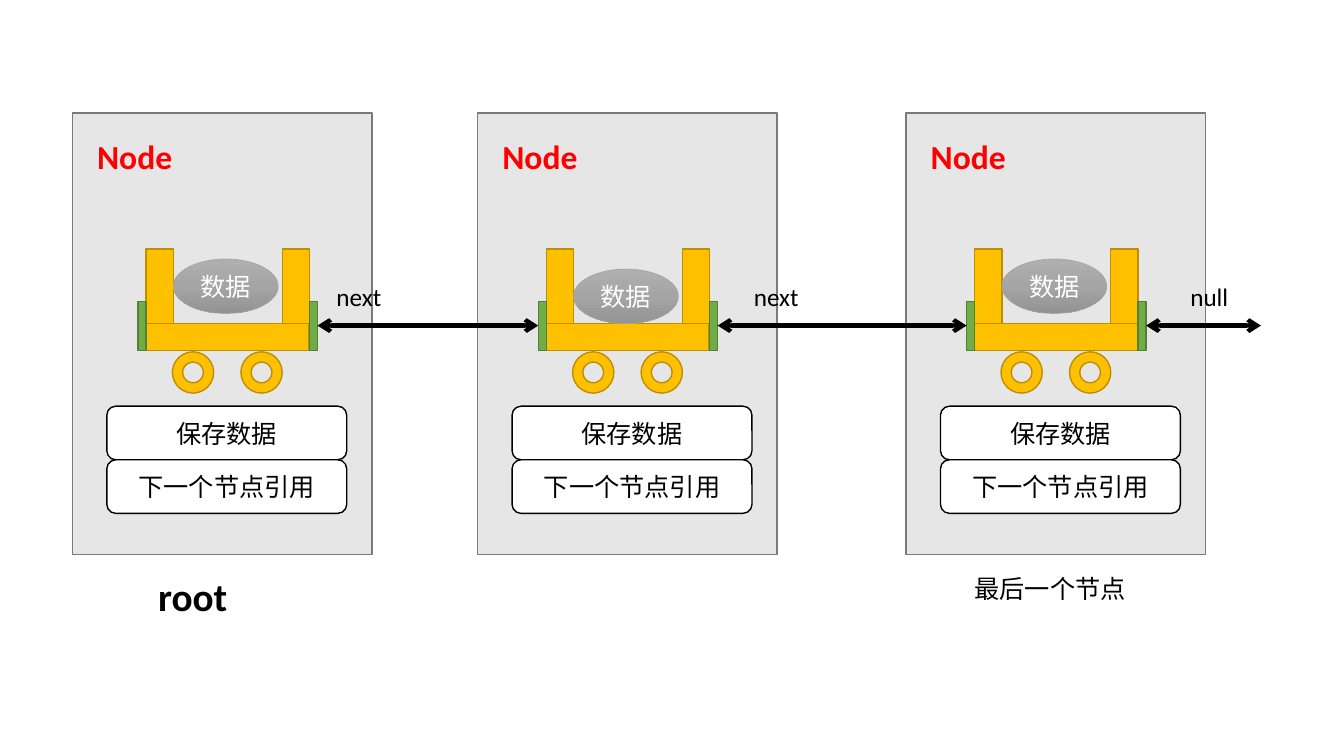
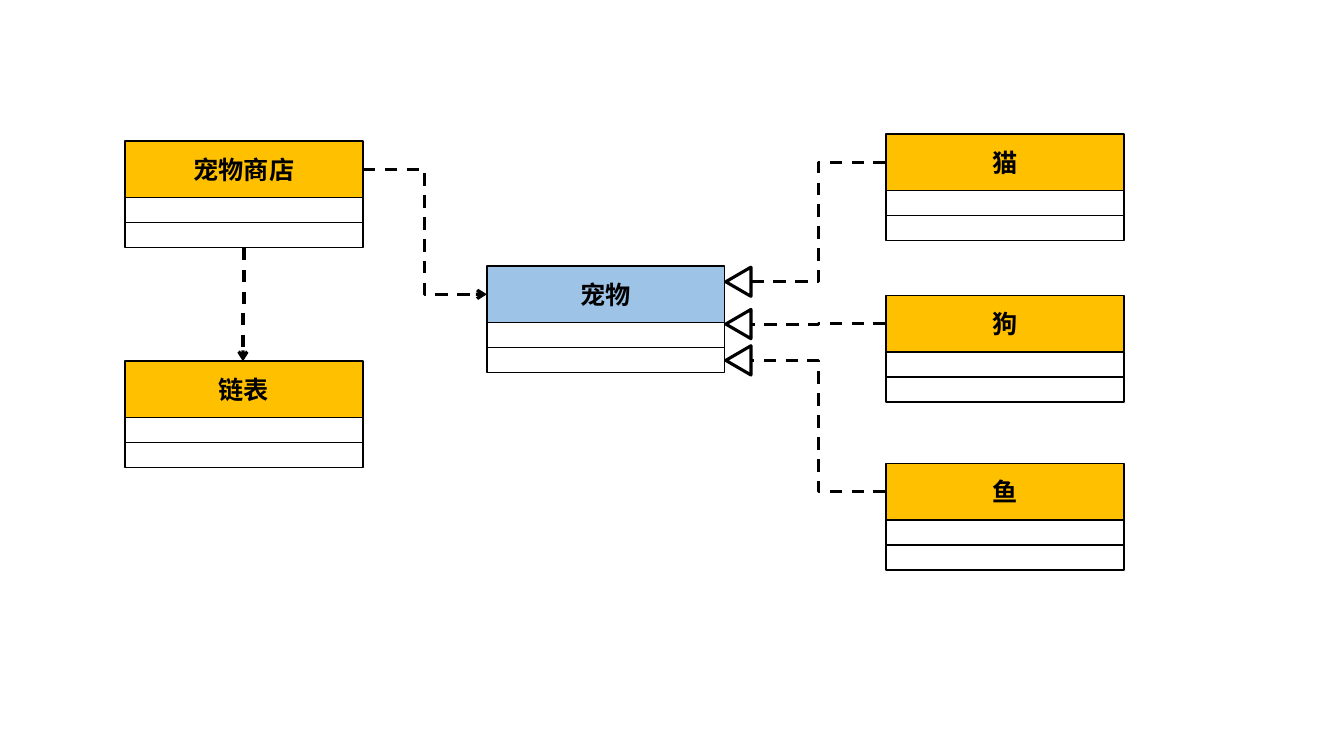
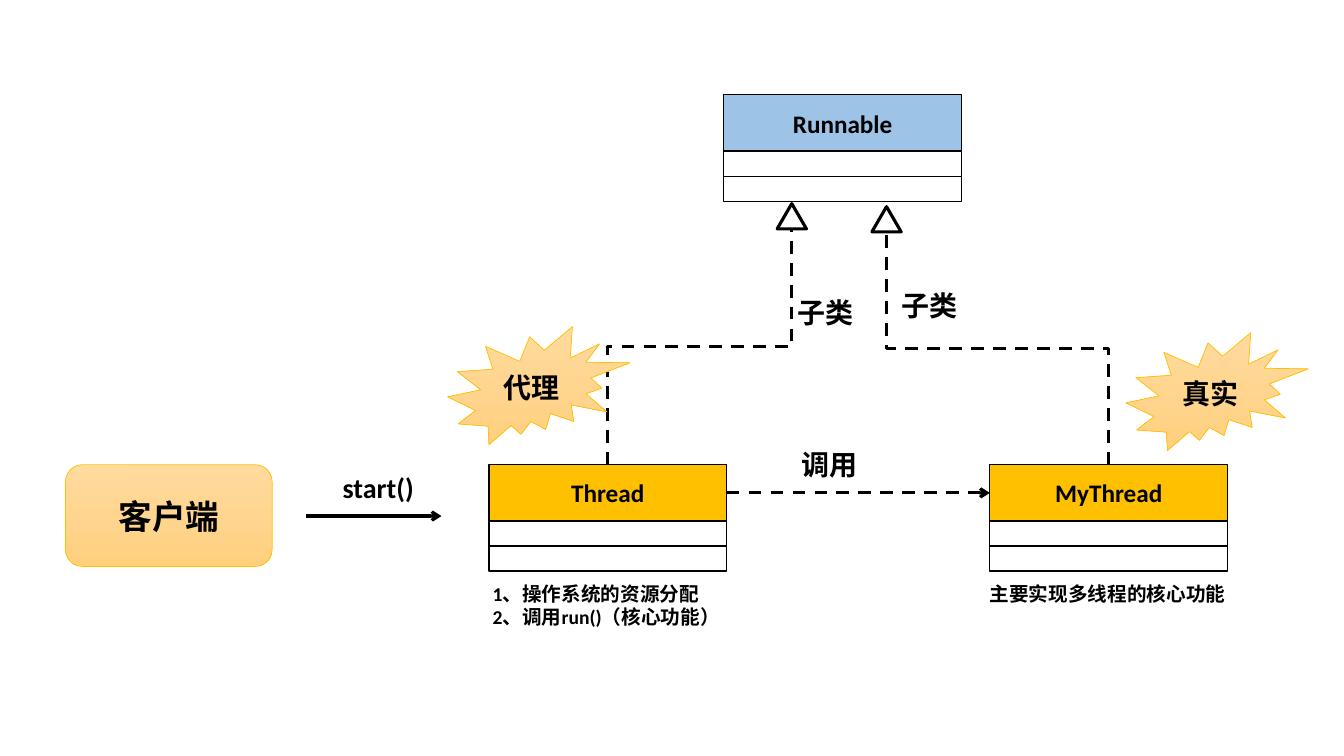
from copy import deepcopy
from lxml.etree import SubElement
from pptx import Presentation
from pptx.dml.color import RGBColor
from pptx.enum.dml import MSO_LINE
from pptx.enum.shapes import MSO_CONNECTOR, MSO_SHAPE
from pptx.enum.text import MSO_ANCHOR, MSO_AUTO_SIZE, PP_ALIGN
from pptx.oxml.ns import qn
from pptx.util import Inches, Pt

HUES = {
    "black": "000000", "white": "FFFFFF", "red": "FF0000",
    "panel": "E7E6E6", "edge": "7A7A7A",
    "gold": "FFC000", "bronze": "BD8E00",
    "green": "70AD47", "moss": "538035",
    "blue": "9DC3E6", "gray": "A5A5A5",
}
FADES = {
    "steel": ("AFAFAF", "A5A5A5", "939393"),
    "sand": ("FFDB9E", "FFD590", "FFD07C"),
}
COLS, ROWS = 160, 90
WIDE, HEAD, ROW = 28.32, 6.72, 2.98
TIP, RISE = 3.48, 3


class Deck:
    """Draws styled elements on a grid of 160 columns by 90 rows."""

    def __init__(self):
        self.show = Presentation()
        self.show.slide_width = Inches(13.333)
        self.show.slide_height = Inches(7.5)
        self.font = "Calibri"

    def page(self):
        """Start a new blank slide."""
        self.slide = self.show.slides.add_slide(self.show.slide_layouts[6])

    def grid(self, *spots):
        """Turn alternating columns and rows into slide lengths."""
        units = (self.show.slide_width / COLS, self.show.slide_height / ROWS)
        return [round(spot * units[i % 2]) for i, spot in enumerate(spots)]

    def label(self, frame, lines, size, hue, bold, align):
        """Fill a text frame with one run per paragraph."""
        for i, line in enumerate(lines):
            para = frame.add_paragraph() if i else frame.paragraphs[0]
            para.alignment = align
            run = para.add_run()
            run.text = line
            run.font.name = self.font
            run.font.size = Pt(size)
            run.font.bold = bold
            run.font.color.rgb = RGBColor.from_string(HUES[hue])

    def shape(self, kind, at, fill, edge="black", width=1, text="",
              size=18, hue="black", bold=False, turn=0):
        """Add a preset shape with an optional centred label."""
        item = self.slide.shapes.add_shape(kind, *self.grid(*at))
        item.shadow.inherit = False
        item.rotation = turn
        if fill in FADES:
            self.fade(item, FADES[fill])
        else:
            item.fill.solid()
            item.fill.fore_color.rgb = RGBColor.from_string(HUES[fill])
        item.line.color.rgb = RGBColor.from_string(HUES[edge])
        item.line.width = Pt(width)
        if text:
            item.text_frame.word_wrap = True
            item.text_frame.vertical_anchor = MSO_ANCHOR.MIDDLE
            self.label(item.text_frame, [text], size, hue, bold, PP_ALIGN.CENTER)

    def fade(self, item, tones):
        """Fill a shape with a downward gradient of three tones."""
        item.fill.gradient()
        item.fill.gradient_angle = 270
        stops = item._element.spPr.find(".//" + qn("a:gsLst"))
        stops.append(deepcopy(stops[0]))
        for i, (stop, tone) in enumerate(zip(item.fill.gradient_stops, tones)):
            stop.position = i / 2
            stop.color.rgb = RGBColor.from_string(tone)

    def text(self, at, *lines, size=18, hue="black", bold=False, wrap=False):
        """Add a text box that grows with its lines."""
        frame = self.slide.shapes.add_textbox(*self.grid(*at)).text_frame
        frame.word_wrap = wrap
        frame.auto_size = MSO_AUTO_SIZE.SHAPE_TO_FIT_TEXT
        self.label(frame, lines, size, hue, bold, PP_ALIGN.LEFT)

    def line(self, ends, kind=MSO_CONNECTOR.STRAIGHT, width=2.25, dash=False,
             marks=("tailEnd",)):
        """Add a connector with arrowheads at the marked ends."""
        item = self.slide.shapes.add_connector(kind, *self.grid(*ends))
        item.line.color.rgb = RGBColor.from_string(HUES["black"])
        item.line.width = Pt(width)
        if dash:
            item.line.dash_style = MSO_LINE.DASH
        edge = item._element.spPr.find(qn("a:ln"))
        for mark in marks:
            SubElement(edge, qn("a:" + mark), type="arrow")
        SubElement(item._element.spPr, qn("a:effectLst"))
        return item

    def bend(self, x, y, to_x, to_y, marks=(), steep=False):
        """Add a dashed elbow; a steep one leaves and arrives upright."""
        ends = (x, y, to_x, to_y)
        if steep:
            down = to_y > y
            mid_x, mid_y = (x + to_x) / 2, (y + to_y) / 2
            run = abs(to_y - y) / 2
            drop = (x - to_x) / 2 if down else (to_x - x) / 2
            ends = (mid_x - run, mid_y - drop, mid_x + run, mid_y + drop)
        item = self.line(ends, MSO_CONNECTOR.ELBOW, dash=True, marks=marks)
        if steep:
            frame = item._element.spPr.find(qn("a:xfrm"))
            frame.set("rot", str((90 if down else 270) * 60000))

    def entry(self, x, y, name, fill="gold"):
        """Add a class box with a named head and two empty rows."""
        self.shape(MSO_SHAPE.RECTANGLE, (x, y, WIDE, HEAD), fill, text=name, bold=True)
        for i in range(2):
            self.shape(MSO_SHAPE.RECTANGLE, (x, y + HEAD + i * ROW, WIDE, ROW), "white")

    def tip(self, x, y, turn=0):
        """Add a hollow triangle that ends an inheritance line."""
        self.shape(MSO_SHAPE.ISOSCELES_TRIANGLE, (x, y, TIP, RISE), "white",
                   width=2.25, turn=turn)

    def node(self, x):
        """Add a node panel with its title and two fields."""
        self.shape(MSO_SHAPE.RECTANGLE, (x, 13.44, 35.64, 52.56), "panel", "edge")
        for i, name in enumerate(("保存数据", "下一个节点引用")):
            self.shape(MSO_SHAPE.ROUNDED_RECTANGLE,
                       (x + 4.08, 48.36 + i * 6.38, 28.56, 6.38), "white", text=name)
        self.text((x + 1.74, 15.6, 26.88, 6), "Node", size=24, hue="red",
                  bold=True, wrap=True)

    def cart(self, x, load):
        """Add a cart whose load sits at the given row."""
        for post in (0, 16.2):
            self.shape(MSO_SHAPE.RECTANGLE, (x + post, 29.64, 3.24, 8.88), "gold", "bronze")
        self.shape(MSO_SHAPE.RECTANGLE, (x, 38.52, 19.4, 3.24), "gold", "bronze")
        for wheel in (3.12, 11.28):
            self.shape(MSO_SHAPE.DONUT, (x + wheel, 41.88, 4.92, 4.92), "gold", "bronze")
        for hook in (19.44, -0.96):
            self.shape(MSO_SHAPE.RECTANGLE, (x + hook, 35.88, 0.96, 5.88), "green", "moss")
        self.shape(MSO_SHAPE.OVAL, (x + 3.24, load, 12.48, 6.48), "steel", "gray", 0.5,
                   "数据", hue="white")


def chain(deck):
    """Draw the linked list of nodes."""
    deck.page()
    for x in (107.88, 56.88, 8.64):
        deck.node(x)
    carts = (17.4, 65.04, 116.04)
    for x, load in zip(carts, (30.84, 32.04, 30.84)):
        deck.cart(x, load)
    stops = [x - 0.96 for x in carts[1:]] + [150.12]
    for x, stop in zip(carts, stops):
        deck.line((x + 20.4, 38.76, stop, 38.76), width=3, marks=("headEnd", "tailEnd"))
    deck.text((17.64, 67.56, 10.68, 6.84), "root", size=28, bold=True)
    deck.text((114.84, 67.68, 20.64, 4.8), "最后一个节点")
    for x, wide, name in ((38.88, 7.8, "next"), (88.56, 7.8, "next"), (140.52, 6.96, "null")):
        deck.text((x, 32.88, wide, 4.8), name)


def shop(deck):
    """Draw the class diagram of the pet shop."""
    deck.page()
    pets = (("猫", 15.96, 32.04), ("狗", 35.16, 37.08), ("鱼", 55.2, 41.4))
    deck.entry(14.88, 16.8, "宠物商店")
    deck.entry(14.88, 42.96, "链表")
    for name, y, tip in pets:
        deck.entry(105.48, y, name)
    deck.entry(57.96, 31.68, "宠物", "blue")
    for name, y, tip in pets:
        deck.tip(86.16, tip, 270)
    for name, y, tip in pets:
        deck.bend(105.48, y + HEAD / 2, 89.4, tip + RISE / 2)
    deck.bend(14.88 + WIDE, 20.16, 57.96, 35.04, ("tailEnd",))
    deck.bend(29.04, 29.52, 28.92, 43.02, ("tailEnd",), True)


def proxy(deck):
    """Draw the thread proxy diagram."""
    deck.page()
    base, real, agent = 55.32, 117.84, 58.2
    deck.entry(real, base, "MyThread")
    deck.entry(agent, base, "Thread")
    deck.entry(86.16, 11.28, "Runnable", "blue")
    links = ((real, 103.8, 24.6), (agent, 92.52, 24.24))
    for x, tip, y in links:
        deck.tip(tip, y)
    for x, tip, y in links:
        deck.bend(x + WIDE / 2, base, tip + TIP / 2, y + RISE, steep=True)
    deck.bend(agent + WIDE, base + HEAD / 2, real, base + HEAD / 2, ("tailEnd",))
    deck.shape(MSO_SHAPE.ROUNDED_RECTANGLE, (7.8, base, 24.6, 12.12), "sand", "gold", 0.5,
               "客户端", 24, bold=True)
    deck.line((36.48, 61.44, 52.56, 61.44))
    for x, y, wide, name in ((39.6, 55.44, 10.92, "start()"), (94.2, 52.68, 9.12, "调用"),
                             (106.2, 33.72, 9.24, "子类"), (93.72, 34.56, 9.24, "子类")):
        deck.text((x, y, wide, 5.28), name, size=20, bold=True)
    for x, y, name in ((53.28, 38.88, "代理"), (134.04, 39.6, "真实")):
        deck.shape(MSO_SHAPE.EXPLOSION2, (x, y, 21.72, 14.04), "sand", "gold", 0.5,
                   name, 20, bold=True)
    deck.text((57.48, 68.64, 29.64, 6.84), "1、操作系统的资源分配", "2、调用run()（核心功能）",
              size=14, bold=True, wrap=True)
    deck.text((116.64, 68.64, 30.72, 4.08), "主要实现多线程的核心功能", size=14, bold=True)


def main():
    """Build and save the deck."""
    deck = Deck()
    for draw in (chain, shop, proxy):
        draw(deck)
    deck.show.save("out.pptx")


if __name__ == "__main__":
    main()
